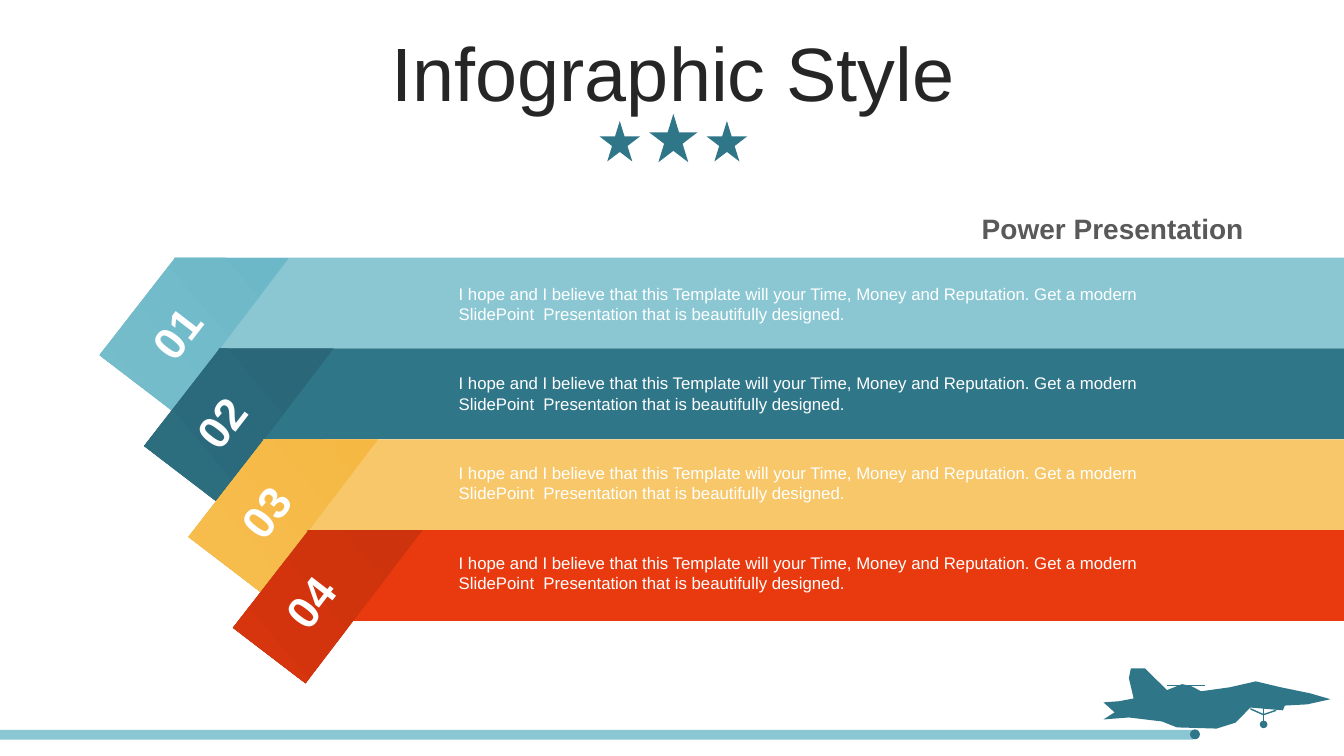
from lxml import etree
from pptx import Presentation
from pptx.dml.color import RGBColor
from pptx.enum.shapes import MSO_CONNECTOR, MSO_SHAPE
from pptx.enum.text import MSO_ANCHOR, MSO_AUTO_SIZE, PP_ALIGN
from pptx.oxml.ns import qn
from pptx.util import Cm, Pt

RECT, STAR, OVAL = MSO_SHAPE.RECTANGLE, MSO_SHAPE.STAR_5_POINT, MSO_SHAPE.OVAL
STRAIGHT = MSO_CONNECTOR.STRAIGHT
LEFT, MID, RIGHT = PP_ALIGN.LEFT, PP_ALIGN.CENTER, PP_ALIGN.RIGHT
TOP, CENTRE = MSO_ANCHOR.TOP, MSO_ANCHOR.MIDDLE
GROW, FIXED = MSO_AUTO_SIZE.SHAPE_TO_FIT_TEXT, MSO_AUTO_SIZE.NONE

WIDE, HIGH = 33.87, 19.05
TEAL, SKY, WHITE = "307689", "8AC7D3", "FFFFFF"
BODY = ("I hope and I believe that this Template will your Time, Money and "
        "Reputation. Get a modern SlidePoint  Presentation that is "
        "beautifully designed.")
BANDS = [
    (SKY, "6CB8C8", "76BDCB"),
    (TEAL, "2A6879", "2C6D7E"),
    ("F7C76A", "F5B842", "F6BD4F"),
    ("E93A0F", "CD330D", "D6350E"),
]
BAND_X, BAND_Y, BAND_H = 4.39, 6.49, 2.29
STEP_X, TEXT_DROP = 1.12, 2.26
TAG = [(-1.88, 2.46), (-0.05, 3.86), (2.9, 0), (0.03, 0)]

JET_X, JET_Y = 27.81, 16.81
HULL = {
    "fin": [(0.76, 0.79), (0.64, 0.28), (0.69, 0.03), (1.04, 0.03),
            (1.6, 0.58)],
    "back": [(1.98, 0.43), (2.21, 0.48), (2.46, 0.61), (3.18, 0.51),
             (3.84, 0.36), (4.47, 0.51)],
    "nose": [(5.2, 0.66), (5.72, 0.81), (5.13, 0.94)],
    "belly": [(4.57, 0.97), (4.52, 1.09), (3.7, 1.02), (3.33, 1.4),
              (2.85, 1.55), (1.85, 1.52), (1.47, 1.37)],
    "tail": [(0.64, 1.27), (0, 1.32), (0.28, 1.14), (0, 0.89),
             (0.4, 0.86)],
}
WHEELS = [(2.18, 1.57, 0.25), (3.94, 1.35, 0.19)]
RODS = {
    "wing": (1.6, 0.47, 2.55, 0.47),
    "strut": (4.03, 1, 4.03, 1.4),
    "rear brace": (3.7, 1.05, 4.03, 1.2),
    "front brace": (4.35, 1.09, 4.03, 1.2),
}


class Deck:
    face = "Arial"

    def __init__(self):
        self.prs = Presentation()
        self.prs.slide_width, self.prs.slide_height = Cm(WIDE), Cm(HIGH)
        self.page = self.prs.slides.add_slide(self.prs.slide_layouts[6])

    def hue(self, code):
        return RGBColor.from_string(code)

    def paint(self, item, *tints):
        item.shadow.inherit = False
        item.line.fill.background()
        if len(tints) == 1:
            item.fill.solid()
            item.fill.fore_color.rgb = self.hue(tints[0])
            return
        item.fill.gradient()
        item.fill.gradient_angle = 220
        for stop, tint in zip(item.fill.gradient_stops, tints):
            stop.color.rgb = self.hue(tint)

    def shape(self, kind, x, y, w, h, tint):
        item = self.page.shapes.add_shape(kind, Cm(x), Cm(y), Cm(w), Cm(h))
        self.paint(item, tint)

    def poly(self, x, y, spots, *tints):
        ring = [(round(100 * (x + dx)), round(100 * (y + dy)))
                for dx, dy in spots]
        pen = self.page.shapes.build_freeform(*ring[0], scale=Cm(0.01))
        pen.add_line_segments(ring[1:])
        self.paint(pen.convert_to_shape(), *tints)

    def rod(self, x1, y1, x2, y2, tint):
        item = self.page.shapes.add_connector(
            STRAIGHT, Cm(x1), Cm(y1), Cm(x2), Cm(y2))
        item.line.width = Pt(1)
        item.line.color.rgb = self.hue(tint)
        etree.SubElement(item._element.spPr, qn("a:effectLst"))

    def text(self, words, x, y, w, h, size, tint, align=LEFT, bold=False,
             turn=0, lead=None, frame=None):
        box = self.page.shapes.add_textbox(Cm(x), Cm(y), Cm(w), Cm(h))
        box.rotation = turn
        form = {"word_wrap": True, "auto_size": GROW, "vertical_anchor": TOP}
        for key, val in {**form, **(frame or {})}.items():
            setattr(box.text_frame, key, val)
        para = box.text_frame.paragraphs[0]
        para.alignment, para.line_spacing = align, lead
        run = para.add_run()
        run.text = words
        for key, val in {"name": self.face, "size": Pt(size),
                         "bold": bold}.items():
            setattr(run.font, key, val)
        run.font.color.rgb = self.hue(tint)

    def stars(self, mid):
        for slot, side, y in [(0, 1.22, 2.87), (1, 1.02, 3.05),
                              (-1, 1.02, 3.05)]:
            x = mid + 1.35 * slot - side / 2
            self.shape(STAR, x, y, side, side, TEAL)

    def jet(self, x, y, tint):
        outline = [spot for part in HULL.values() for spot in part]
        self.poly(x, y, outline, tint)
        for dx, dy, side in WHEELS:
            self.shape(OVAL, x + dx, y + dy, side, side, tint)
        for x1, y1, x2, y2 in RODS.values():
            self.rod(x + x1, y + y1, x + x2, y + y2, tint)

    def band(self, i, base, dark, light):
        x, y = BAND_X + STEP_X * i, BAND_Y + BAND_H * i
        self.shape(RECT, x, y, WIDE - x, BAND_H, base)
        self.poly(x, y, TAG, dark, light)

    def label(self, i):
        drop = TEXT_DROP * i
        self.text(f"{i + 1:02}", 3.1 + STEP_X * i, 7.57 + drop, 2.69, 1.63,
                  32, WHITE, MID, True, turn=307.5)
        self.text(BODY, 11.31, 7.02 + drop, 18.82, 1.27, 12, WHITE)


def main():
    deck = Deck()
    deck.stars(16.97)
    deck.shape(RECT, 0, 18.39, 30.07, 0.25, SKY)
    deck.jet(JET_X, JET_Y, TEAL)
    deck.text("Infographic Style", 0.89, 0.94, 32.16, 2.01, 54, "262626",
              MID, lead=0.9,
              frame={"auto_size": FIXED, "vertical_anchor": CENTRE})
    for i, tints in enumerate(BANDS):
        deck.band(i, *tints)
    for i in range(len(BANDS)):
        deck.label(i)
    deck.text("Power Presentation", 24.41, 5.2, 6.93, 1.12, 20, "595959",
              RIGHT, True, frame={"margin_right": 0})
    deck.prs.save("out.pptx")


if __name__ == "__main__":
    main()
